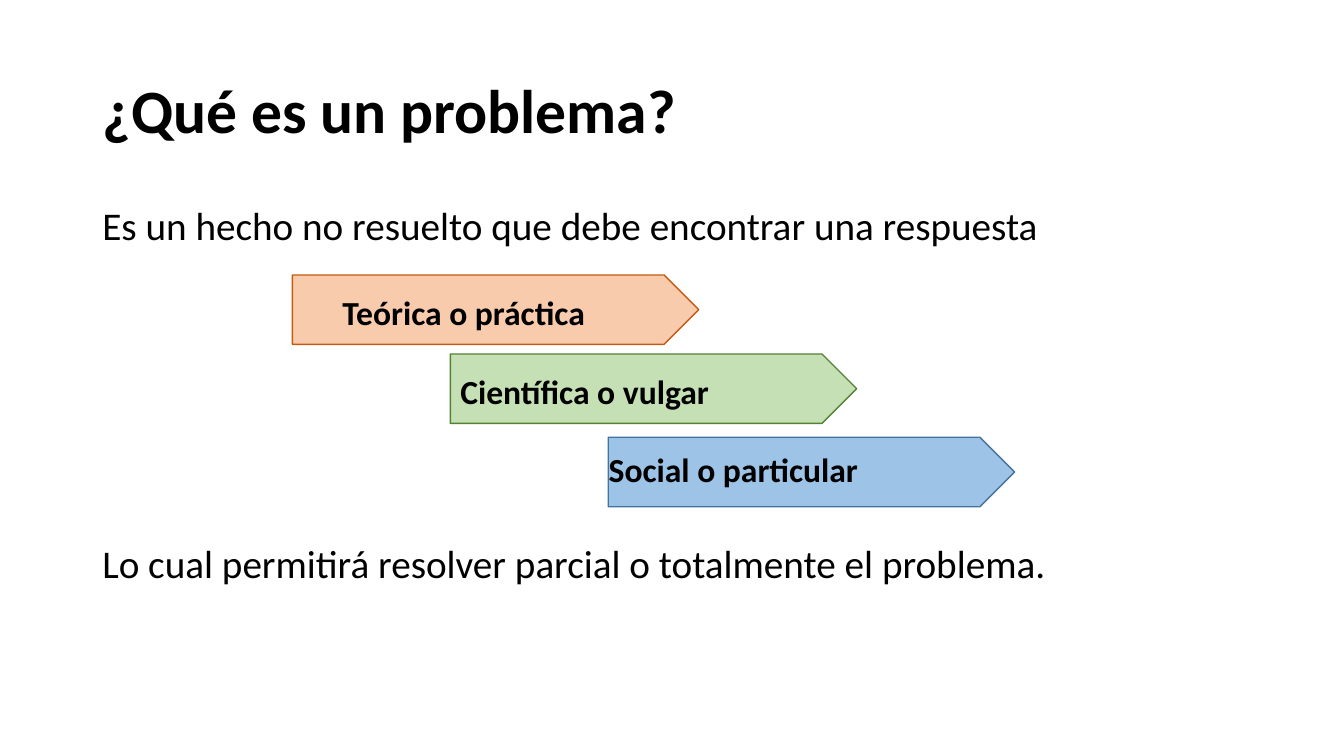
import pptx
import pptx.dml.color
import pptx.enum.shapes
import pptx.enum.text
import pptx.util

Cm = pptx.util.Cm
Pt = pptx.util.Pt
RGBColor = pptx.dml.color.RGBColor
Anchor = pptx.enum.text.MSO_ANCHOR

BLACK = RGBColor(0x00, 0x00, 0x00)
ORANGE = RGBColor(0xF8, 0xCB, 0xAD)
DARK_ORANGE = RGBColor(0xC5, 0x5A, 0x11)
GREEN = RGBColor(0xC5, 0xE0, 0xB4)
DARK_GREEN = RGBColor(0x54, 0x82, 0x35)
BLUE = RGBColor(0x9D, 0xC3, 0xE6)
DARK_BLUE = RGBColor(0x43, 0x73, 0x9E)


class SlideBuilder:
    """Holds the text style and the current slide."""

    font_name = "Calibri"
    text_color = BLACK

    def __init__(self, slide):
        self.slide = slide

    def place(self, shape, left, top, width, height):
        shape.left, shape.top = Cm(left), Cm(top)
        shape.width, shape.height = Cm(width), Cm(height)

    def format(self, paragraph, size, bold=False):
        paragraph.alignment = pptx.enum.text.PP_ALIGN.LEFT
        font = paragraph.font
        font.name = self.font_name
        font.size = Pt(size)
        font.bold = bold
        font.color.rgb = self.text_color

    def title(self, text, *box):
        title = self.slide.shapes.title
        self.place(title, *box)
        title.text_frame.text = text
        title.text_frame.vertical_anchor = Anchor.MIDDLE
        paragraph = title.text_frame.paragraphs[0]
        paragraph.line_spacing = 0.9
        self.format(paragraph, 44, bold=True)

    def text_box(self, *box):
        shape = self.slide.shapes.add_textbox(*(Cm(length) for length in box))
        shape.text_frame.word_wrap = True
        return shape.text_frame

    def body(self, texts, gap, *box):
        frame = self.text_box(*box)
        frame.text = "\n".join(texts)
        for index, paragraph in enumerate(frame.paragraphs):
            self.format(paragraph, 28)
            paragraph.line_spacing = 0.9
            paragraph.space_before = Pt(gap if index else 0)

    def arrow(self, fill, line, *box):
        shape = self.slide.shapes.add_shape(
            pptx.enum.shapes.MSO_SHAPE.PENTAGON, *(Cm(length) for length in box)
        )
        shape.shadow.inherit = False
        shape.fill.solid()
        shape.fill.fore_color.rgb = fill
        shape.line.color.rgb = line
        shape.line.width = Pt(1)

    def label(self, text, *box):
        frame = self.text_box(*box)
        frame.text = text
        self.format(frame.paragraphs[0], 24, bold=True)


def main():
    presentation = pptx.Presentation()
    presentation.slide_width = Cm(33.87)
    presentation.slide_height = Cm(19.05)
    builder = SlideBuilder(presentation.slides.add_slide(presentation.slide_layouts[5]))

    builder.title("¿Qué es un problema?", 2.33, 1.02, 29.21, 3.68)
    builder.body(
        [
            "Es un hecho no resuelto que debe encontrar una respuesta",
            "Lo cual permitirá resolver parcial o totalmente el problema.",
        ],
        211, 2.33, 5.08, 29.21, 12.09,
    )

    answers = [
        ("Teórica o práctica", ORANGE, DARK_ORANGE, 6.93, 8.38, 7.24),
        ("Científica o vulgar", GREEN, DARK_GREEN, 8.92, 11.35, 9.22),
        ("Social o particular", BLUE, DARK_BLUE, 11.02, 15.09, 11.18),
    ]
    first_left, step = 7.37, 3.98
    for index, (text, fill, line, top, label_left, label_top) in enumerate(answers):
        builder.arrow(fill, line, first_left + index * step, top, 10.24, 1.75)
        builder.label(text, label_left, label_top, 6.93, 1.27)

    presentation.save("out.pptx")


if __name__ == "__main__":
    main()
